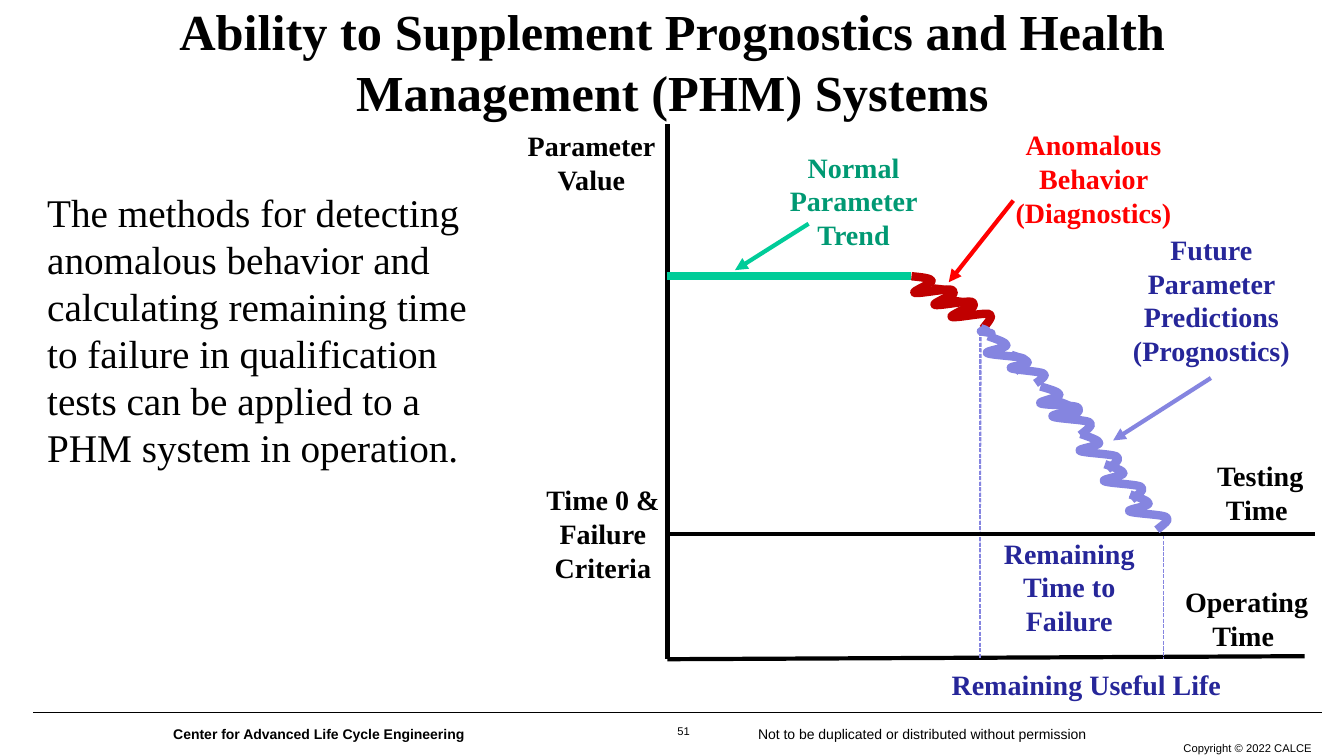
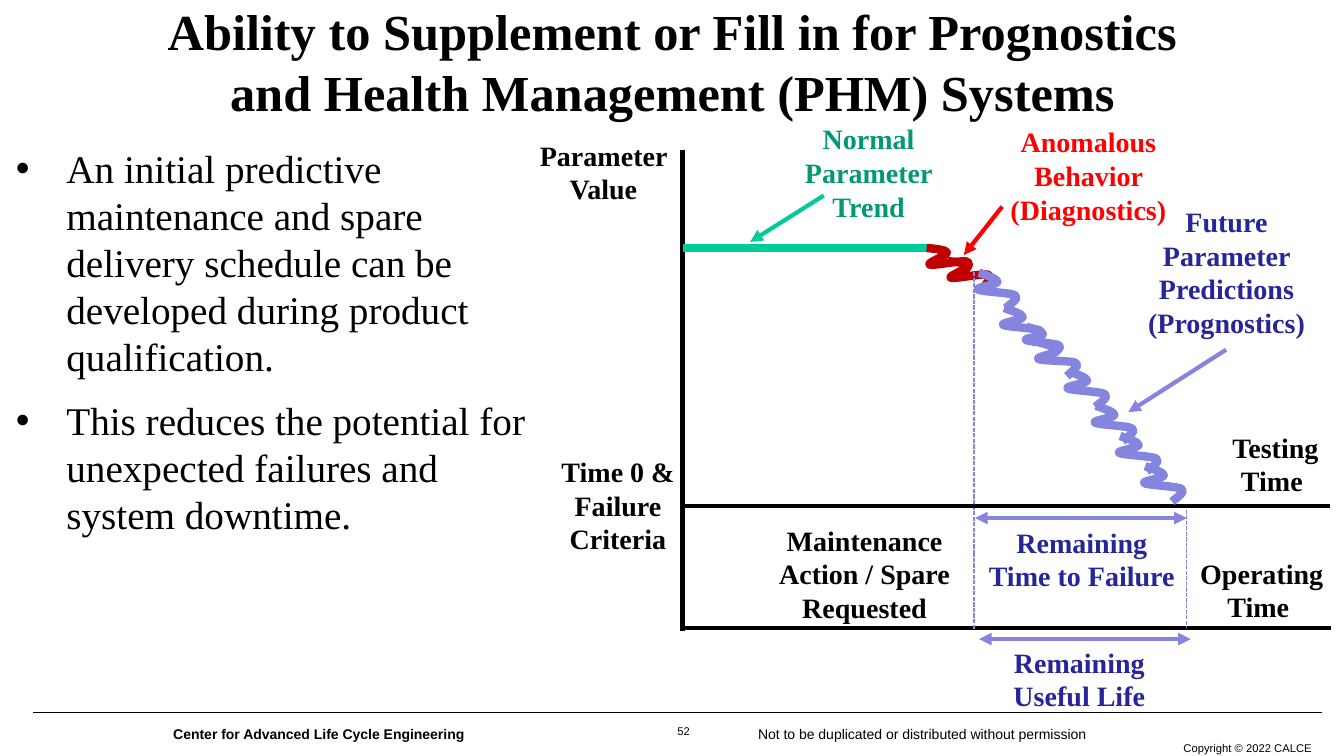
from lxml import etree
from pptx import Presentation
from pptx.dml.color import RGBColor
from pptx.enum.dml import MSO_LINE
from pptx.enum.shapes import MSO_CONNECTOR
from pptx.enum.text import MSO_ANCHOR, PP_ALIGN as Align
from pptx.oxml.ns import qn
from pptx.util import Pt

PX = 9144
BLACK = RGBColor(0x00, 0x00, 0x00)
RED = RGBColor(0xFF, 0x00, 0x00)
DARK_RED = RGBColor(0xC0, 0x00, 0x00)
TEAL = RGBColor(0x00, 0xCC, 0x99)
GREEN = RGBColor(0x00, 0x99, 0x73)
LAVENDER = RGBColor(0x85, 0x85, 0xE0)
INDIGO = RGBColor(0x26, 0x26, 0x99)
SERIF = "Times New Roman"
SANS = "Arial"

WAVE_SIZE = (42, 28)
WAVE_UNITS = 10
WAVE_CURVES = [
    [(100, 10), (195, 20), (200, 45)],
    [(205, 75), (0, 150), (30, 165)],
    [(60, 180), (350, 120), (400, 135)],
    [(450, 150), (390, 215), (340, 280)],
]
TILT = 13.4


def add_bullet(paragraph):
    properties = paragraph._p.get_or_add_pPr()
    properties.set("marL", str(50 * PX))
    properties.set("indent", str(-50 * PX))
    etree.SubElement(properties, qn("a:buFont")).set("typeface", SANS)
    etree.SubElement(properties, qn("a:buChar")).set("char", "•")


def add_tab_stop(paragraph, position):
    tabs = etree.SubElement(paragraph._p.get_or_add_pPr(), qn("a:tabLst"))
    etree.SubElement(tabs, qn("a:tab"), pos=str(position * PX), algn="l")


def add_text(slide, paragraphs, box, size, color=BLACK, bold=False,
             align=Align.LEFT, font=SERIF, bullets=False):
    frame = slide.shapes.add_textbox(*(value * PX for value in box)).text_frame
    frame.word_wrap = True
    for index, text in enumerate(paragraphs):
        paragraph = frame.paragraphs[0] if index == 0 else frame.add_paragraph()
        paragraph.text = text
        paragraph.alignment = align
        if bullets:
            add_bullet(paragraph)
            paragraph.space_after = Pt(12)
        paragraph.font.name = font
        paragraph.font.size = Pt(size)
        paragraph.font.bold = bold
        paragraph.font.color.rgb = color
    return frame


def add_label(slide, text, box, color=BLACK):
    add_text(slide, [text], box, 20, color, True, Align.CENTER)


def add_line(slide, start, end, color=BLACK, width=3, dashed=False, arrows=()):
    line = slide.shapes.add_connector(
        MSO_CONNECTOR.STRAIGHT, *(value * PX for value in (*start, *end)))
    line.line.color.rgb = color
    line.line.width = Pt(width)
    if dashed:
        line.line.dash_style = MSO_LINE.SQUARE_DOT
    for arrow in arrows:
        etree.SubElement(line.line._get_or_add_ln(), qn(f"a:{arrow}")).set("type", "triangle")
    etree.SubElement(line._element.spPr, qn("a:effectLst"))


def add_path_step(outline, tag, points):
    step = etree.SubElement(outline, qn(tag))
    for x, y in points:
        etree.SubElement(step, qn("a:pt"), x=str(x), y=str(y))


def add_wave(slide, left, top, color=LAVENDER, tilt=TILT, size=WAVE_SIZE):
    right, bottom = (length * WAVE_UNITS for length in WAVE_SIZE)
    builder = slide.shapes.build_freeform(0, 0, scale=PX / WAVE_UNITS)
    builder.add_line_segments([(right, 0), (right, bottom)], close=False)
    wave = builder.convert_to_shape(left * PX, top * PX)
    outline = next(wave._element.iter(qn("a:path")))
    for step in list(outline):
        outline.remove(step)
    add_path_step(outline, "a:moveTo", [(0, 0)])
    for curve in WAVE_CURVES:
        add_path_step(outline, "a:cubicBezTo", curve)
    wave.width, wave.height = (length * PX for length in size)
    wave.rotation = tilt
    wave.shadow.inherit = False
    wave.fill.background()
    wave.line.color.rgb = color
    wave.line.width = Pt(6)


def add_footer(slide, number):
    page = add_text(slide, [number], (661, 716, 34, 22), 8, align=Align.CENTER, font=SANS)
    page.paragraphs[0].line_spacing = 0.85
    add_line(slide, (33, 707), (1311, 707), width=1)
    add_text(slide, ["Copyright © 2022 CALCE"], (1103, 731, 208, 24), 8,
             align=Align.RIGHT, font=SANS)
    notice = add_text(slide, [""], (162, 715, 967, 27), 10, font=SANS).paragraphs[0]
    properties = notice._p.get_or_add_pPr()
    defaults = properties.find(qn("a:defRPr"))
    add_tab_stop(notice, 580)
    properties.append(defaults)
    center = notice.add_run()
    center.text = "Center for Advanced Life Cycle Engineering\t"
    center.font.bold = True
    notice.add_run().text = "Not to be duplicated or distributed without permission"


def add_page(prs, title, number):
    slide = prs.slides.add_slide(prs.slide_layouts[6])
    add_footer(slide, number)
    heading = add_text(slide, [title], (120, -2, 1094, 125), 36, bold=True, align=Align.CENTER)
    heading.vertical_anchor = MSO_ANCHOR.MIDDLE
    return slide


def add_trend(slide, dx, dy):
    def shift(x, y):
        return x + dx, y + dy

    for text, corner, size, color in [
        ("Testing Time ", (1195, 450), (110, 77), BLACK),
        ("Operating Time ", (1155, 575), (163, 77), BLACK),
        ("Time 0 & Failure Criteria", (498, 474), (200, 111), BLACK),
        ("Normal Parameter Trend", (766, 144), (161, 111), GREEN),
        ("Future Parameter Predictions (Prognostics)", (1113, 226), (177, 145), INDIGO),
    ]:
        add_label(slide, text, (*shift(*corner), *size), color)
    add_line(slide, shift(662, 530), shift(1304, 530))
    add_line(slide, shift(662, 274), shift(904, 274), TEAL, 6)
    add_line(slide, shift(802, 222), shift(729, 268), TEAL, arrows=["tailEnd"])
    add_line(slide, shift(1201, 375), shift(1104, 437), LAVENDER, arrows=["tailEnd"])
    add_wave(slide, *shift(904, 274), DARK_RED, 0)
    for corner in [(1041, 401), (1068, 435), (1092, 465), (1117, 495)]:
        add_wave(slide, *shift(*corner))


def build_supplement_slide(prs):
    slide = add_page(
        prs, "Ability to Supplement Prognostics and Health Management (PHM) Systems", "51")
    add_text(slide, ["The methods for detecting anomalous behavior and calculating remaining "
                     "time to failure in qualification tests can be applied to a PHM system "
                     "in operation."], (37, 182, 457, 293), 28)
    add_line(slide, (662, 654), (662, 123))
    add_line(slide, (662, 654), (1294, 651))
    for start, end in [((973, 329), (972, 576)), ((972, 329), (972, 653)),
                       ((1154, 531), (1154, 654))]:
        add_line(slide, start, end, LAVENDER, 1, dashed=True)
    add_trend(slide, 0, 0)
    for corner in [(924, 286), (941, 298)]:
        add_wave(slide, *corner, DARK_RED, 0)
    add_wave(slide, 976, 338)
    add_wave(slide, 1000, 356, size=(37, 22))
    add_wave(slide, 1029, 387, tilt=10.6)
    add_wave(slide, 972, 327, size=(12, 5))
    add_line(slide, (1005, 199), (941, 280), RED, arrows=["tailEnd"])
    add_label(slide, "Anomalous Behavior (Diagnostics)", (989, 122, 191, 111), RED)
    add_label(slide, "Parameter Value", (512, 123, 149, 77))
    add_label(slide, "Remaining Time to Failure", (965, 527, 191, 111), INDIGO)
    add_label(slide, "Remaining Useful Life", (915, 657, 325, 44), INDIGO)


def build_fill_in_slide(prs):
    slide = add_page(
        prs, "Ability to Supplement or Fill in for Prognostics and Health Management "
             "(PHM) Systems", "52")
    add_text(slide, ["An initial predictive maintenance and spare delivery schedule can be "
                     "developed during product qualification.",
                     "This reduces the potential for unexpected failures and system downtime."],
             (6, 138, 541, 404), 28, bullets=True)
    add_line(slide, (677, 626), (677, 149))
    add_line(slide, (678, 623), (1320, 623))
    add_wave(slide, 940, 259, DARK_RED, 0)
    for start, end in [((966, 270), (966, 548)), ((966, 548), (966, 625)),
                       ((1177, 500), (1177, 623))]:
        add_line(slide, start, end, LAVENDER, 1, dashed=True)
    add_trend(slide, 15, -28)
    for corner in [(967, 275), (992, 310)]:
        add_wave(slide, *corner)
    add_wave(slide, 1015, 328, size=(37, 22))
    add_wave(slide, 1027, 343, tilt=10.6)
    for start, end in [((967, 514), (1177, 514)), ((971, 634), (1181, 634))]:
        add_line(slide, start, end, LAVENDER, arrows=["headEnd", "tailEnd"])
    add_line(slide, (994, 205), (956, 253), RED, arrows=["tailEnd"])
    add_label(slide, "Anomalous Behavior (Diagnostics)", (984, 119, 191, 111), RED)
    add_label(slide, "Parameter Value", (524, 132, 149, 77))
    add_label(slide, "Maintenance Action / Spare Requested", (762, 514, 191, 111))
    add_label(slide, "Remaining Time to Failure", (968, 516, 210, 77), INDIGO)
    add_label(slide, "Remaining Useful Life", (966, 635, 209, 77), INDIGO)


def main():
    prs = Presentation()
    prs.slide_width = 1333 * PX
    prs.slide_height = 750 * PX
    build_supplement_slide(prs)
    build_fill_in_slide(prs)
    prs.save("out.pptx")


if __name__ == "__main__":
    main()
